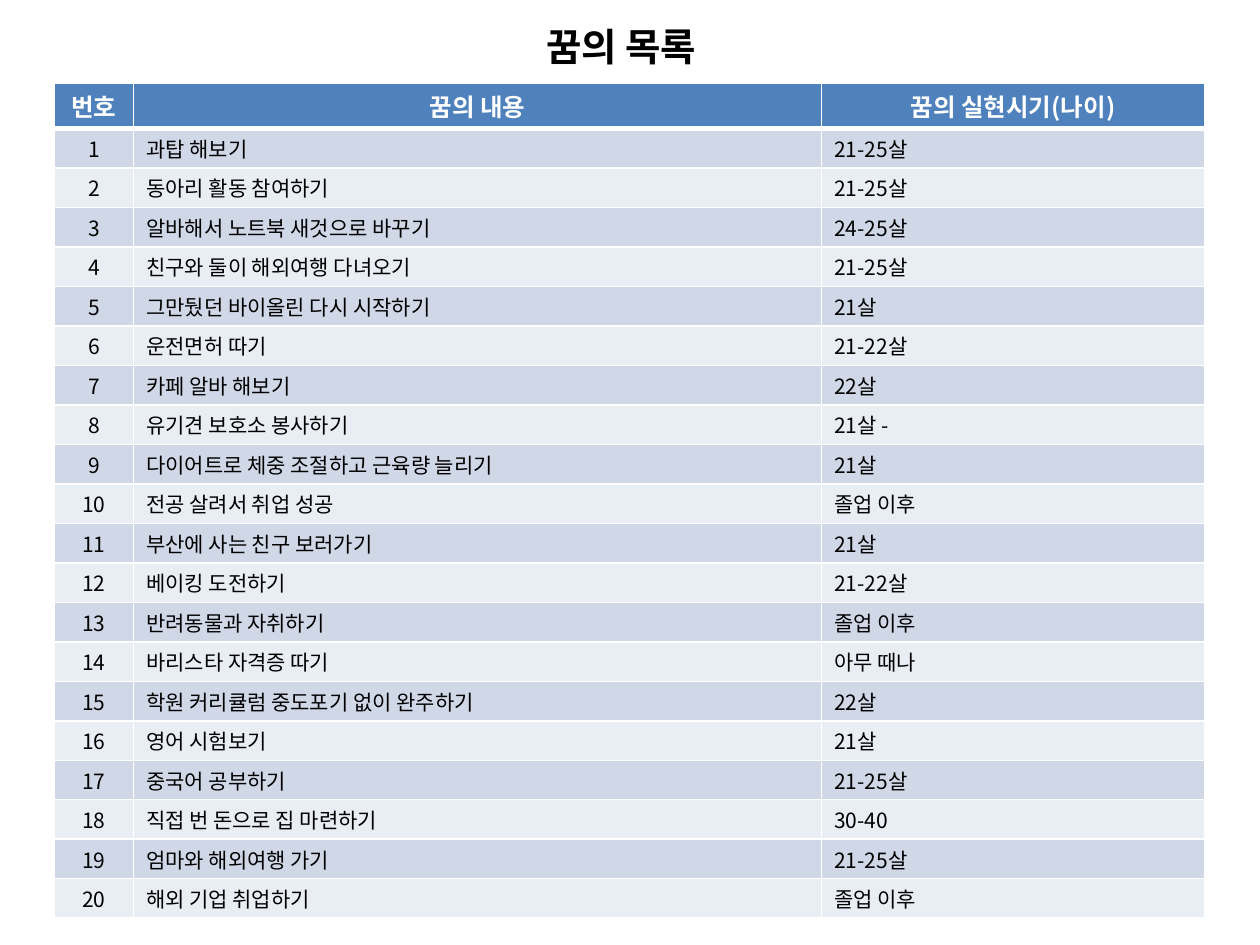
import dataclasses

import pptx
import pptx.dml.color
import pptx.enum.text
import pptx.oxml.ns
import pptx.util
from lxml import etree

Inches = pptx.util.Inches
Align = pptx.enum.text.PP_ALIGN
Anchor = pptx.enum.text.MSO_ANCHOR

FONT = "Noto Sans CJK KR"
COLORS = {"head": "4F81BD", "odd": "D0D8E8", "even": "E9EDF4",
          "white": "FFFFFF", "black": "000000"}


@dataclasses.dataclass
class Dream:
    goal: str
    age: str


@dataclasses.dataclass
class Style:
    size: int
    color: str
    bold: bool


TITLE = Style(22, "black", True)
HEAD = Style(14, "white", True)
BODY = Style(12, "black", False)

HEADS = ["번호", "꿈의 내용", "꿈의 실현시기(나이)"]
DREAMS = [
    Dream("과탑 해보기", "21-25살"),
    Dream("동아리 활동 참여하기", "21-25살"),
    Dream("알바해서 노트북 새것으로 바꾸기", "24-25살"),
    Dream("친구와 둘이 해외여행 다녀오기", "21-25살"),
    Dream("그만뒀던 바이올린 다시 시작하기", "21살"),
    Dream("운전면허 따기", "21-22살"),
    Dream("카페 알바 해보기", "22살"),
    Dream("유기견 보호소 봉사하기", "21살 -"),
    Dream("다이어트로 체중 조절하고 근육량 늘리기", "21살"),
    Dream("전공 살려서 취업 성공", "졸업 이후"),
    Dream("부산에 사는 친구 보러가기", "21살"),
    Dream("베이킹 도전하기", "21-22살"),
    Dream("반려동물과 자취하기", "졸업 이후"),
    Dream("바리스타 자격증 따기", "아무 때나"),
    Dream("학원 커리큘럼 중도포기 없이 완주하기", "22살"),
    Dream("영어 시험보기", "21살"),
    Dream("중국어 공부하기", "21-25살"),
    Dream("직접 번 돈으로 집 마련하기", "30-40"),
    Dream("엄마와 해외여행 가기", "21-25살"),
    Dream("해외 기업 취업하기", "졸업 이후"),
]

# Table grid, in inches
LEFT, TOP, HEIGHT = 0.43, 0.66, 6.63
COLS = [0.63, 5.46, 3.04]
HEAD_ROW = 0.36
BODY_ROW = (HEIGHT - HEAD_ROW) / len(DREAMS)


def rgb(name: str) -> pptx.dml.color.RGBColor:
    return pptx.dml.color.RGBColor.from_string(COLORS[name])


def write(frame, text: str, style: Style, align) -> None:
    frame.text = text
    para = frame.paragraphs[0]
    para.alignment = align
    for run in para.runs:
        font = run.font
        font.name, font.size = FONT, pptx.util.Pt(style.size)
        font.bold = style.bold
        font.color.rgb = rgb(style.color)
        # Korean glyphs take the East Asian typeface
        asian = etree.SubElement(font._element, pptx.oxml.ns.qn("a:ea"))
        asian.set("typeface", FONT)


def border(cell, row: int) -> None:
    props = cell._tc.get_or_add_tcPr()
    thick = {0: "lnB", 1: "lnT"}.get(row)
    for side in ("lnL", "lnR", "lnT", "lnB"):
        width = 3 if side == thick else 1
        line = etree.SubElement(props, pptx.oxml.ns.qn(f"a:{side}"))
        line.set("w", str(pptx.util.Pt(width)))
        fill = etree.SubElement(line, pptx.oxml.ns.qn("a:solidFill"))
        tint = etree.SubElement(fill, pptx.oxml.ns.qn("a:srgbClr"))
        tint.set("val", COLORS["white"])


def add_title(slide) -> None:
    title = slide.shapes.title
    title.left, title.top = Inches(4.21), Inches(0.13)
    title.width, title.height = Inches(1.44), Inches(0.47)
    frame = title.text_frame
    write(frame, "꿈의 목록", TITLE, Align.CENTER)
    frame.word_wrap = False
    frame.auto_size = pptx.enum.text.MSO_AUTO_SIZE.NONE
    frame.vertical_anchor = Anchor.MIDDLE


def add_list(slide) -> None:
    rows = [HEADS] + [[str(num), dream.goal, dream.age]
                      for num, dream in enumerate(DREAMS, 1)]
    table = slide.shapes.add_table(
        len(rows), len(COLS), Inches(LEFT), Inches(TOP),
        Inches(sum(COLS)), Inches(HEIGHT)).table
    for col, width in zip(table.columns, COLS):
        col.width = Inches(width)
    for row, texts in enumerate(rows):
        table.rows[row].height = Inches(BODY_ROW if row else HEAD_ROW)
        band = "head" if row == 0 else "odd" if row % 2 else "even"
        for col, text in enumerate(texts):
            cell = table.cell(row, col)
            mid = row == 0 or col == 0
            write(cell.text_frame, text, BODY if row else HEAD,
                  Align.CENTER if mid else Align.LEFT)
            cell.margin_top = cell.margin_bottom = Inches(0.03)
            cell.vertical_anchor = Anchor.MIDDLE
            border(cell, row)
            cell.fill.solid()
            cell.fill.fore_color.rgb = rgb(band)


def main() -> None:
    deck = pptx.Presentation()
    deck.slide_width, deck.slide_height = Inches(10), Inches(7.5)
    slide = deck.slides.add_slide(deck.slide_layouts[5])
    add_title(slide)
    add_list(slide)
    deck.save("out.pptx")


if __name__ == "__main__":
    main()
